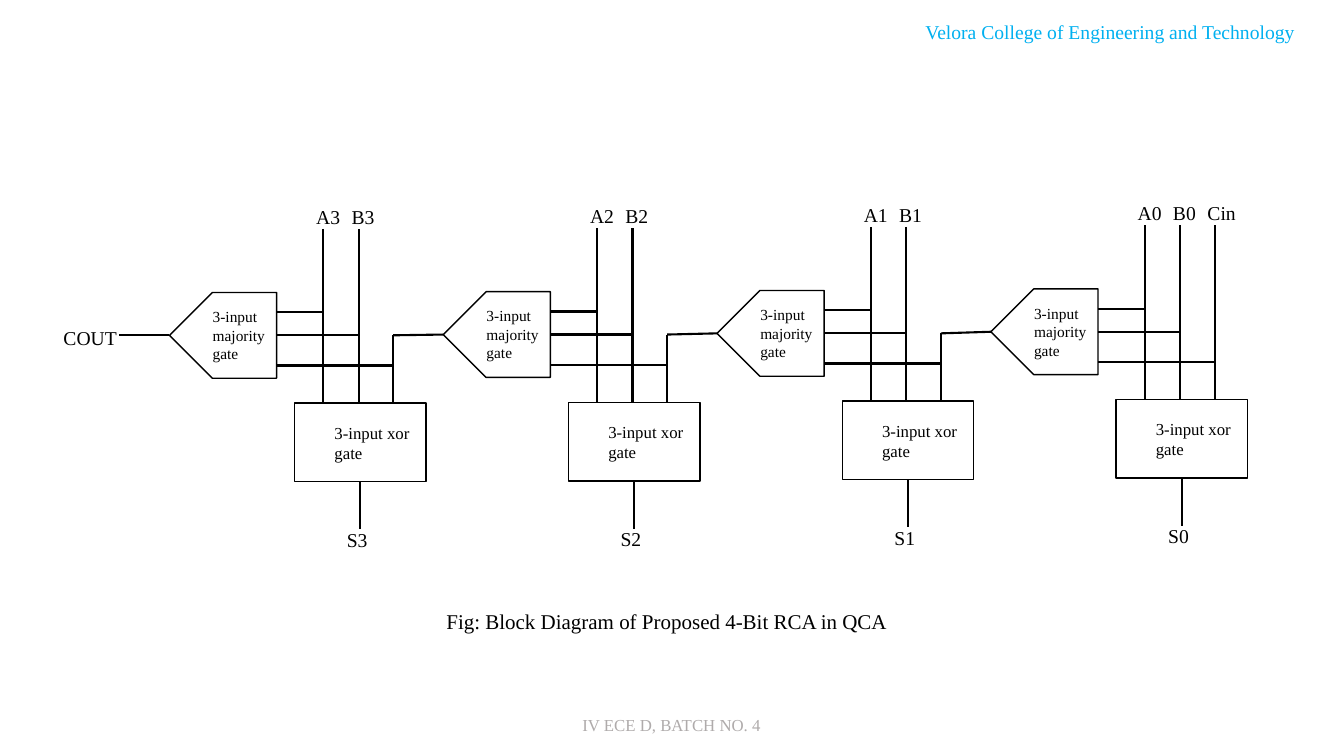
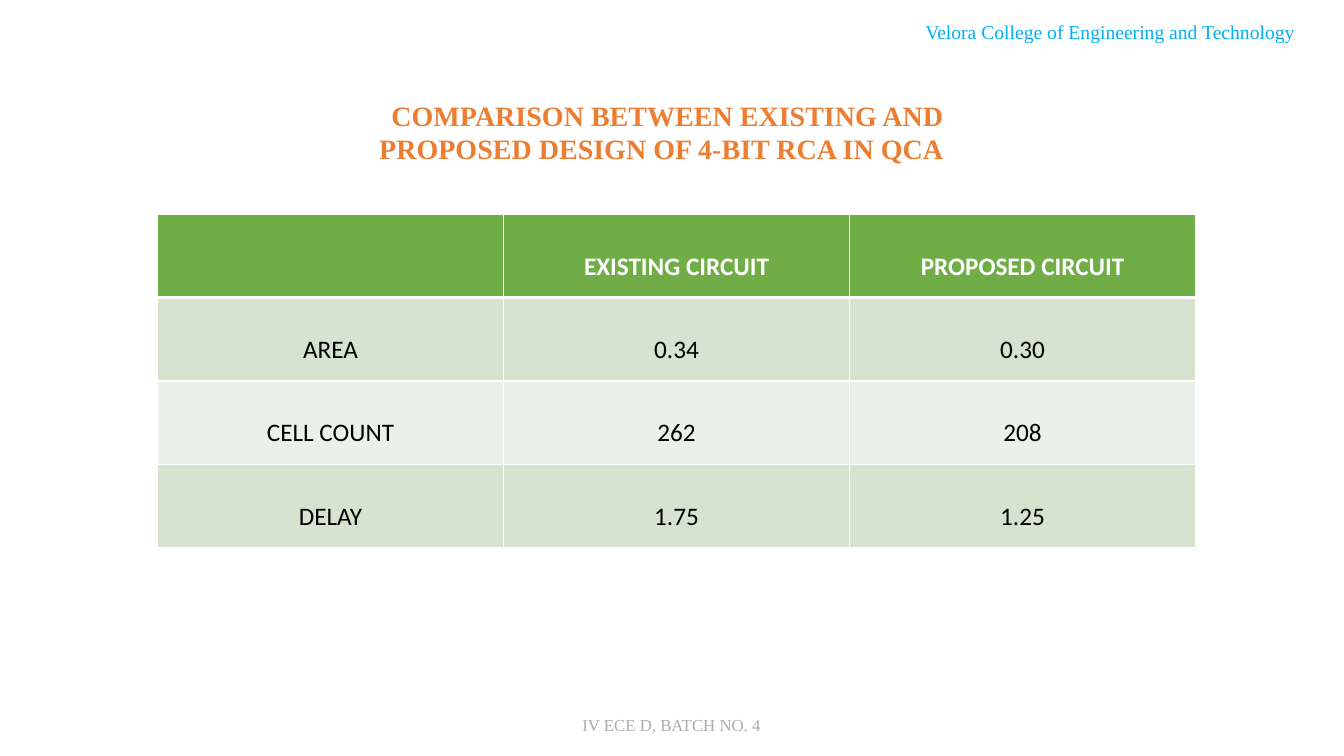
from dataclasses import dataclass

from pptx import Presentation
from pptx.dml.color import RGBColor
from pptx.enum.shapes import MSO_CONNECTOR, MSO_SHAPE as Shape
from pptx.enum.text import MSO_ANCHOR as Anchor, MSO_AUTO_SIZE as AutoSize, PP_ALIGN as Align
from pptx.oxml import parse_xml
from pptx.oxml.ns import nsdecls
from pptx.util import Cm, Pt

# Content
HEADER = "Velora College of Engineering and Technology"
FOOTER = "IV ECE D, BATCH NO. 4"
CAPTION = "Fig: Block Diagram of Proposed 4-Bit RCA in QCA"
MAJORITY, XOR = "3-input majority gate", "3-input xor gate"
CARRY_OUT = "COUT"
STAGES = [  # top of the majority gate in cm, inputs, sum
    (7.37, ("A3", "B3", ""), "S3"),
    (7.35, ("A2", "B2", ""), "S2"),
    (7.32, ("A1", "B1", ""), "S1"),
    (7.28, ("A0", "B0", "Cin"), "S0"),
]
TITLE = "COMPARISON BETWEEN EXISTING AND PROPOSED DESIGN OF 4-BIT RCA IN QCA"
COMPARISON = [
    ("", "EXISTING CIRCUIT", "PROPOSED CIRCUIT"),
    ("AREA", "0.34", "0.30"),
    ("CELL COUNT", "262", "208"),
    ("DELAY", "1.75", "1.25"),
]

# Diagram geometry in cm; wire positions are relative to the majority gate
FIRST_LEFT, STAGE_PITCH = 4.27, 6.9
GATE_WIDTH, GATE_HEIGHT = 2.7, 2.16
GATE_MIDDLE = GATE_HEIGHT / 2
XOR_LEFT, XOR_TOP, XOR_WIDTH, XOR_HEIGHT = 3.16, 2.79, 3.31, 1.98
INPUT_WIRES = [(3.88, 0.5), (4.77, GATE_MIDDLE), (5.64, 1.84)]  # x, branch y
INPUT_TOP = -1.6
SUM_X, SUM_LENGTH = 4.81, 1.2


@dataclass(frozen=True)
class Theme:
    serif: str = "Times New Roman"
    sans: str = "Calibri"
    black: str = "000000"
    white: str = "FFFFFF"
    header: str = "00B0F0"
    footer: str = "AFABAB"
    title: str = "ED7D31"
    table_head: str = "70AD47"
    table_bands: tuple = ("D5E3CF", "EBF1E9")
    title_size: float = 20
    table_size: float = 18
    caption_size: float = 15
    label_size: float = 14
    small_size: float = 12
    gate_size: float = 11
    outline: float = 1
    wire: float = 1.5
    thick_border: float = 3


THEME = Theme()


def rgb(color):
    return RGBColor.from_string(color)


def write(holder, text, *, size=THEME.label_size, color=THEME.black,
          font=THEME.serif, bold=False, align=Align.LEFT):
    """Put formatted text in a shape, placeholder or table cell."""
    frame = holder.text_frame
    frame.word_wrap = True
    paragraph = frame.paragraphs[0]
    paragraph.alignment = align
    run = paragraph.add_run()
    run.text = text
    run.font.name, run.font.size, run.font.bold = font, Pt(size), bold
    run.font.color.rgb = rgb(color)


def add_text(slide, text, left, top, width, height, **text_format):
    box = slide.shapes.add_textbox(Cm(left), Cm(top), Cm(width), Cm(height))
    write(box, text, **text_format)


def add_block(slide, kind, left, top, width, height):
    shape = slide.shapes.add_shape(kind, Cm(left), Cm(top), Cm(width), Cm(height))
    shape.shadow.inherit = False
    shape.fill.solid()
    shape.fill.fore_color.rgb = rgb(THEME.white)
    shape.line.color.rgb = rgb(THEME.black)
    shape.line.width = Pt(THEME.outline)
    return shape


def add_wire(slide, x1, y1, x2, y2):
    wire = slide.shapes.add_connector(
        MSO_CONNECTOR.STRAIGHT, Cm(x1), Cm(y1), Cm(x2), Cm(y2))
    wire.line.color.rgb = rgb(THEME.black)
    wire.line.width = Pt(THEME.wire)
    wire._element.spPr.append(parse_xml(f"<a:effectLst {nsdecls('a')}/>"))


def add_slide(presentation, layout_index):
    """Add a slide with the shared header and footer."""
    slide = presentation.slides.add_slide(presentation.slide_layouts[layout_index])
    add_text(slide, HEADER, 22.1, 0.38, 11.76, 0.86,
             color=THEME.header, align=Align.CENTER)
    add_text(slide, FOOTER, 7.82, 17.88, 18.21, 0.76,
             size=THEME.small_size, color=THEME.footer, align=Align.CENTER)
    return slide


def add_stage(slide, left, top, inputs, sum_name, output_y):
    # Majority gate and its carry output
    gate = add_block(slide, Shape.PENTAGON, left, top, GATE_WIDTH, GATE_HEIGHT)
    gate.rotation = 180
    add_text(slide, MAJORITY, left + 0.84, top + 0.25, 2.41, 1.63, size=THEME.gate_size)
    output_x = left + INPUT_WIRES[-1][0] - STAGE_PITCH
    add_wire(slide, left, top + GATE_MIDDLE, output_x, output_y)

    # Xor gate and its sum output
    xor_bottom = top + XOR_TOP + XOR_HEIGHT
    xor = add_block(slide, Shape.RECTANGLE, left + XOR_LEFT, top + XOR_TOP,
                    XOR_WIDTH, XOR_HEIGHT)
    xor.text_frame.margin_left, xor.text_frame.margin_right = Cm(1), 0
    xor.text_frame.vertical_anchor = Anchor.MIDDLE
    write(xor, XOR, size=THEME.small_size)
    add_wire(slide, left + SUM_X, xor_bottom, left + SUM_X, xor_bottom + SUM_LENGTH)
    add_text(slide, sum_name, left + 4.22, top + 5.8, 1.93, 0.86)

    # Inputs: an unnamed one is the carry from the stage to the right
    for name, (wire_x, branch_y) in zip(inputs, INPUT_WIRES):
        x = left + wire_x
        start = INPUT_TOP if name else GATE_MIDDLE
        add_wire(slide, x, top + start, x, top + XOR_TOP)
        add_wire(slide, left + GATE_WIDTH, top + branch_y, x, top + branch_y)
        if name:
            add_text(slide, name, x - 0.43, top - 2.34, 1.4, 0.86)


def build_diagram(presentation):
    slide = add_slide(presentation, 6)
    output_y = STAGES[0][0] + GATE_MIDDLE
    add_text(slide, CARRY_OUT, 1.35, output_y - 0.37, 2.24, 0.86)
    for index, (top, inputs, sum_name) in enumerate(STAGES):
        add_stage(slide, FIRST_LEFT + index * STAGE_PITCH, top, inputs, sum_name, output_y)
        output_y = top + GATE_MIDDLE
    add_text(slide, CAPTION, 10.19, 15.21, 13.23, 0.89,
             size=THEME.caption_size, align=Align.CENTER)


def set_borders(cell, **widths):
    """Draw white borders; widths are keyed by L, R, T and B."""
    properties = cell._tc.get_or_add_tcPr()
    for index, (side, width) in enumerate(widths.items()):
        properties.insert(index, parse_xml(
            f'<a:ln{side} {nsdecls("a")} w="{Pt(width)}"><a:solidFill>'
            f'<a:srgbClr val="{THEME.white}"/></a:solidFill></a:ln{side}>'))


def build_comparison(presentation):
    slide = add_slide(presentation, 5)
    title = slide.shapes.title
    title.left, title.top, title.width, title.height = Cm(7.5), Cm(2.34), Cm(16.53), Cm(1.96)
    title.text_frame.auto_size = AutoSize.NONE
    title.text_frame.vertical_anchor = Anchor.MIDDLE
    write(title, TITLE, size=THEME.title_size, color=THEME.title,
          bold=True, align=Align.RIGHT)

    # Table
    rows, columns = len(COMPARISON), len(COMPARISON[0])
    column_width, row_height = Cm(8.72), Cm(2.1)
    table = slide.shapes.add_table(rows, columns, Cm(3.97), Cm(5.4),
                                   column_width * columns, row_height * rows).table
    for row_index, values in enumerate(COMPARISON):
        table.rows[row_index].height = row_height
        is_head = row_index == 0
        fill = THEME.table_head if is_head else THEME.table_bands[(row_index - 1) % 2]
        for column_index, value in enumerate(values):
            table.columns[column_index].width = column_width
            cell = table.cell(row_index, column_index)
            cell.fill.solid()
            cell.fill.fore_color.rgb = rgb(fill)
            cell.vertical_anchor = Anchor.BOTTOM
            cell.margin_bottom = Cm(0.4)
            set_borders(cell, L=THEME.outline, R=THEME.outline,
                        T=THEME.thick_border if row_index == 1 else THEME.outline,
                        B=THEME.thick_border if is_head else THEME.outline)
            if value:
                write(cell, value, size=THEME.table_size, font=THEME.sans, bold=is_head,
                      color=THEME.white if is_head else THEME.black, align=Align.CENTER)


def main():
    presentation = Presentation()
    presentation.slide_width, presentation.slide_height = Cm(33.87), Cm(19.05)
    build_diagram(presentation)
    build_comparison(presentation)
    presentation.save("out.pptx")


if __name__ == "__main__":
    main()
